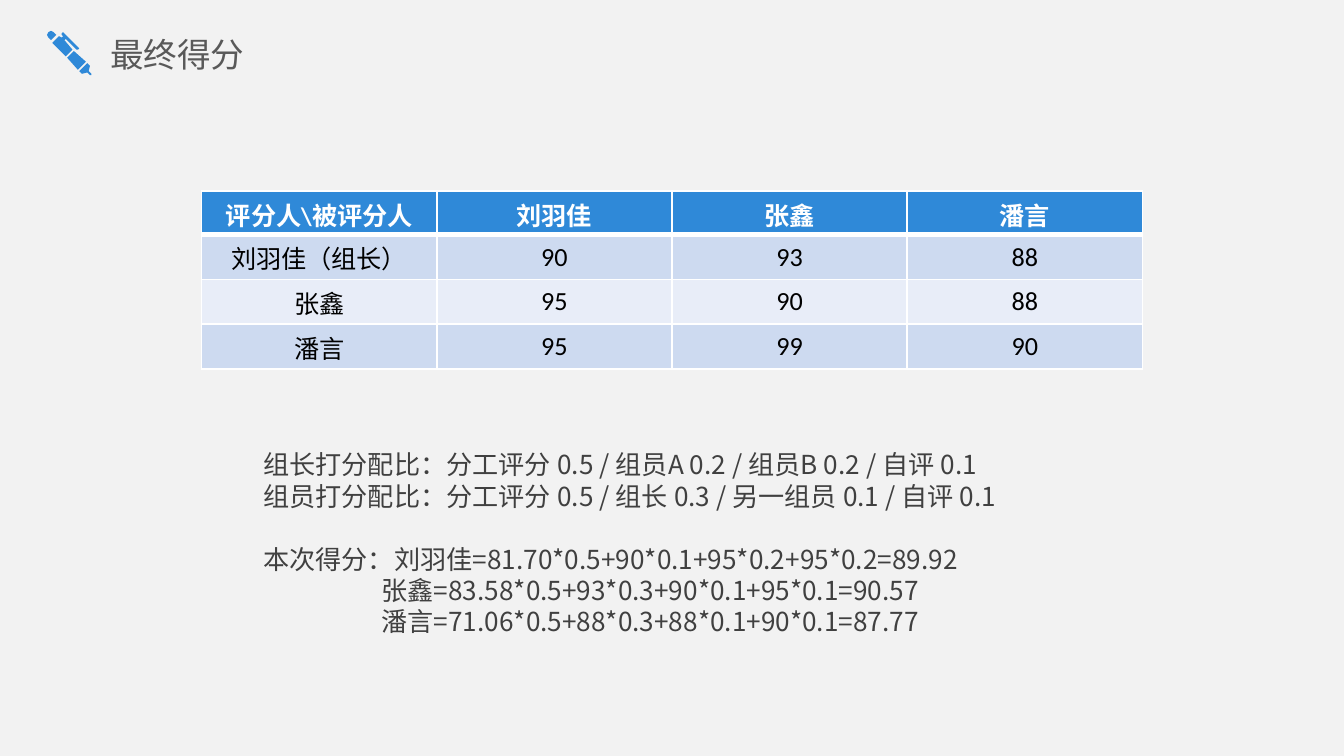
from typing import NamedTuple

from lxml import etree
from pptx import Presentation
from pptx import util as u
from pptx.dml.color import RGBColor
from pptx.enum import text
from pptx.oxml.ns import qn

BLUE, WHITE, BLACK = "2F89D8", "FFFFFF", "000000"
BANDS = ("CDDAF0", "E8EDF8")
CJK, LATIN = "Noto Sans CJK SC", "Calibri"


class Style(NamedTuple):
    font: str
    size: float
    colour: str
    bold: bool = False


class Line(NamedTuple):
    wording: str
    indent: float = 0
    before: float = 0


TITLE = Style(CJK, 18, "595959")
BODY = Style(CJK, 14, "404040")
HEADER = Style(LATIN, 13.5, WHITE, True)
NAME = Style(LATIN, 13.5, BLACK)
SCORE = Style(LATIN, 14, BLACK)
LINE_HEIGHT = 16.8
NAME_INDENT = 0.88

SCORES = (
    ("评分人\\被评分人", "刘羽佳", "张鑫", "潘言"),
    ("刘羽佳（组长）", "90", "93", "88"),
    ("张鑫", "95", "90", "88"),
    ("潘言", "95", "99", "90"),
)
RESULTS = (
    Line("组长打分配比：分工评分 0.5 / 组员A 0.2 / 组员B 0.2 / 自评 0.1"),
    Line("组员打分配比：分工评分 0.5 / 组长 0.3 / 另一组员 0.1 / 自评 0.1"),
    Line("本次得分：刘羽佳=81.70*0.5+90*0.1+95*0.2+95*0.2=89.92", before=LINE_HEIGHT),
    Line("张鑫=83.58*0.5+93*0.3+90*0.1+95*0.1=90.57", NAME_INDENT),
    Line("潘言=71.06*0.5+88*0.3+88*0.1+90*0.1=87.77", NAME_INDENT),
)
PEN_PARTS = (
    ((65, 47), (59, 53), (61, 55), (65, 54), (67, 56), (68, 56), (68, 55), (66, 53), (67, 49)),
    ((55, 38), (50, 43), (58, 52), (64, 46)),
    ((48, 25), (47, 24), (46, 25), (46, 26), (47, 27), (46, 28), (44, 27), (39, 32), (49, 42),
     (54, 37), (48, 30), (49, 29), (57, 37), (58, 37), (59, 36), (58, 35)),
    ((38, 23), (36, 24), (35, 26), (36, 28), (38, 30), (42, 26), (40, 24)),
)


def paint(target, colour: str) -> None:
    target.solid()
    target.fore_color.rgb = RGBColor.from_string(colour)


def write(para, wording: str, style: Style) -> None:
    para.text = wording
    para.font.name = style.font
    para.font.size = u.Pt(style.size)
    para.font.bold = style.bold
    para.font.color.rgb = RGBColor.from_string(style.colour)


def add_box(page, left: float, top: float, width: float, height: float):
    box = page.shapes.add_textbox(*map(u.Inches, (left, top, width, height)))
    box.text_frame.word_wrap = True
    return box.text_frame


def add_pen(page) -> None:
    first, *others = PEN_PARTS
    builder = page.shapes.build_freeform(*first[0], scale=u.Inches(0.01))
    builder.add_line_segments(first[1:])
    for part in others:
        builder.move_to(*part[0])
        builder.add_line_segments(part[1:])
    pen = builder.convert_to_shape()
    pen.shadow.inherit = False
    paint(pen.fill, BLUE)
    pen.line.fill.background()


def add_title(page) -> None:
    frame = add_box(page, 0.82, 0.19, 6.86, 0.42)
    frame.margin_left = frame.margin_right = 0
    frame.vertical_anchor = text.MSO_ANCHOR.MIDDLE
    write(frame.paragraphs[0], "最终得分", TITLE)


def add_borders(cell, bottom: float) -> None:
    properties = cell._tc.get_or_add_tcPr()
    for side, width in (("L", 1), ("R", 1), ("T", 1), ("B", bottom)):
        edge = etree.SubElement(properties, qn(f"a:ln{side}"), w=str(u.Pt(width)))
        fill = etree.SubElement(edge, qn("a:solidFill"))
        etree.SubElement(fill, qn("a:srgbClr"), val=WHITE)


def add_scores(page) -> None:
    area = map(u.Inches, (1.5, 1.42, 7, 1.25))
    table = page.shapes.add_table(len(SCORES), len(SCORES[0]), *area).table
    for i, row in enumerate(SCORES):
        for j, wording in enumerate(row):
            cell = table.cell(i, j)
            style = HEADER if i == 0 else NAME if j == 0 else SCORE
            if style is not SCORE:
                cell.margin_left = cell.margin_right = u.Inches(0.07)
                cell.margin_top, cell.margin_bottom = u.Inches(0.04), u.Inches(0.06)
            add_borders(cell, 3 if i == 0 else 1)
            paint(cell.fill, BLUE if i == 0 else BANDS[(i - 1) % 2])
            para = cell.text_frame.paragraphs[0]
            write(para, wording, style)
            para.alignment = text.PP_ALIGN.CENTER


def add_results(page) -> None:
    frame = add_box(page, 1.86, 3.29, 6.29, 1.51)
    for i, line in enumerate(RESULTS):
        para = frame.add_paragraph() if i else frame.paragraphs[0]
        write(para, line.wording, BODY)
        para.line_spacing = u.Pt(LINE_HEIGHT)
        para.space_before = u.Pt(line.before)
        para._p.get_or_add_pPr().set("marL", str(u.Inches(line.indent)))


def main() -> None:
    """Build the final score slide."""
    deck = Presentation()
    deck.slide_width = u.Inches(10)
    deck.slide_height = deck.slide_width * 9 // 16
    page = deck.slides.add_slide(deck.slide_layouts[6])
    paint(page.background.fill, "F2F2F2")
    add_pen(page)
    add_title(page)
    add_scores(page)
    add_results(page)
    deck.save("out.pptx")


if __name__ == "__main__":
    main()
